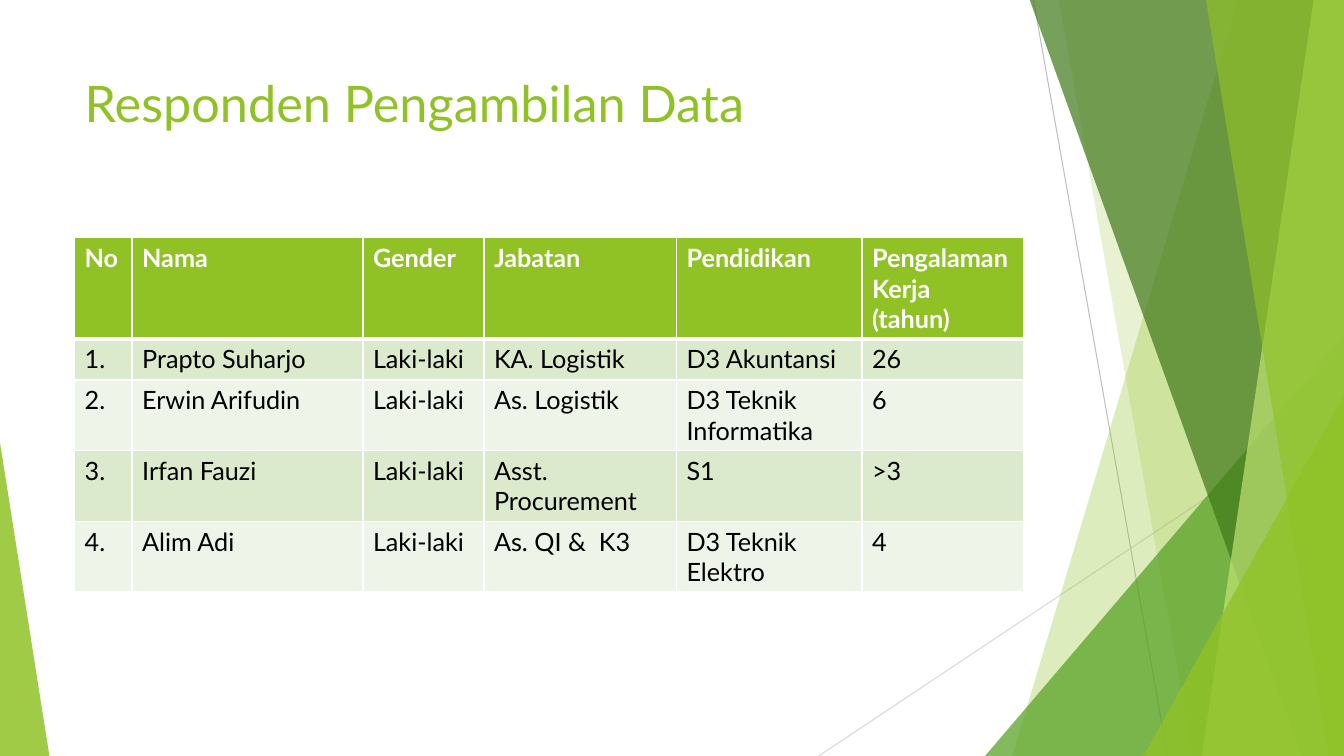
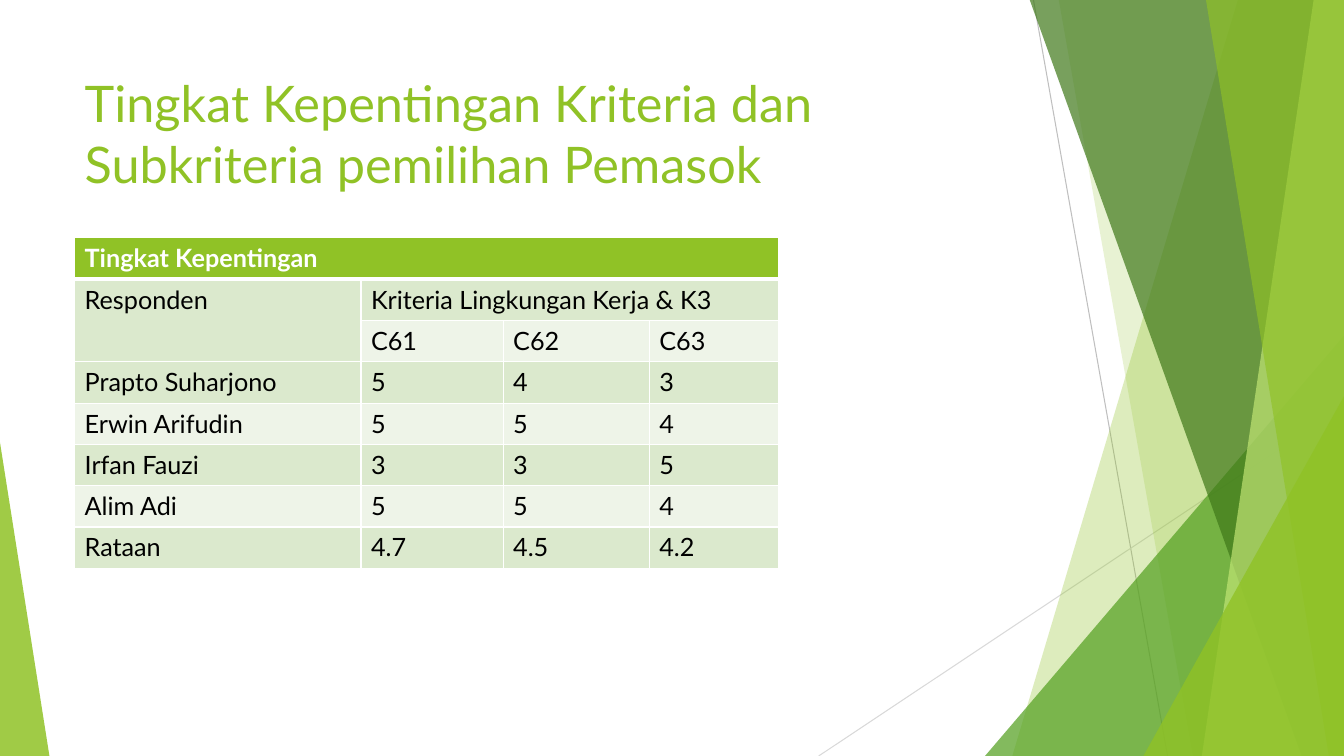
import pptx
import pptx.dml.color
import pptx.enum.shapes
import pptx.enum.text
import pptx.oxml.ns
import pptx.util
from lxml import etree

RGB = pptx.dml.color.RGBColor
SHAPE = pptx.enum.shapes.MSO_SHAPE
qn = pptx.oxml.ns.qn

LIME = RGB(0x90, 0xC2, 0x26)
LEAF = RGB(0x54, 0xA0, 0x21)
MOSS = RGB(0x3F, 0x78, 0x19)
PALE = RGB(0xC0, 0xE4, 0x74)
BAND = RGB(0xDB, 0xE9, 0xCD)
MIST = RGB(0xEE, 0xF4, 0xE8)
GREY = RGB(0xBF, 0xBF, 0xBF)
SILVER = RGB(0xD9, 0xD9, 0xD9)
WHITE = RGB(0xFF, 0xFF, 0xFF)
BLACK = RGB(0, 0, 0)

FONT = "Lato"
PX = 9144  # EMU; 100 px to the inch
WIDE, HIGH = 1333, 750
LEFT = 74
ROW = 41


def emu(*sizes):
    return [pptx.util.Emu(size * PX) for size in sizes]


def style(para, size, color, bold=False):
    font = para.font
    font.name, font.size, font.bold = FONT, pptx.util.Pt(size), bold
    font.color.rgb = color


def border(cell, **widths):
    """Draw white cell edges, with widths in points by side (L, R, T, B)."""
    props = cell._tc.get_or_add_tcPr()
    for side, width in widths.items():
        line = etree.SubElement(props, qn(f"a:ln{side}"), w=str(pptx.util.Pt(width)))
        fill = etree.SubElement(line, qn("a:solidFill"))
        etree.SubElement(fill, qn("a:srgbClr"), val=str(WHITE))


class Deck:
    def __init__(self):
        self.prs = pptx.Presentation()
        self.prs.slide_width, self.prs.slide_height = emu(WIDE, HIGH)
        self.slide = None

    def start(self, title):
        """Add a slide with the shared decoration and its title."""
        self.slide = self.prs.slides.add_slide(self.prs.slide_layouts[5])
        self.decor()
        self.title(title)

    def title(self, text):
        box = self.slide.shapes.title
        box.left, box.top, box.width, box.height = emu(LEFT, 67, 940, 144)
        frame = box.text_frame
        frame.text = text
        frame.word_wrap = True
        frame.auto_size = pptx.enum.text.MSO_AUTO_SIZE.NONE
        frame.vertical_anchor = pptx.enum.text.MSO_ANCHOR.TOP
        para = frame.paragraphs[0]
        para.alignment = pptx.enum.text.PP_ALIGN.LEFT
        style(para, 36, LIME)

    def decor(self):
        self.line(1025, 0, 1158, HIGH, GREY)
        self.line(WIDE, 403, 812, HIGH, SILVER)
        self.blade(1228, 1004, LIME, 30)
        self.blade(1050, 1183, LIME, 20)
        self.wedge(977, 333, 356, 1, LEAF, 72)
        self.blade(1021, 1291, MOSS, 70)
        self.blade(1303, 1192, PALE, 70)
        self.blade(1196, 1318, LIME, 65)
        self.wedge(1134, 393, 199, 1, LIME, 80)
        self.wedge(0, 439, 49, 0, LIME, 85)

    def line(self, x1, y1, x2, y2, color):
        kind = pptx.enum.shapes.MSO_CONNECTOR.STRAIGHT
        line = self.slide.shapes.add_connector(kind, *emu(x1, y1, x2, y2))
        line.line.color.rgb = color
        line.line.width = pptx.util.Pt(0.75)
        etree.SubElement(line.element.spPr, qn("a:effectLst"))

    def blade(self, top, foot, color, alpha):
        """Fill from a slanted edge to the right side of the slide."""
        build = self.slide.shapes.build_freeform(top, -1, scale=PX)
        build.add_line_segments([(WIDE, -1), (WIDE, HIGH), (foot, HIGH)])
        self.paint(build.convert_to_shape(), color, alpha)

    def wedge(self, left, top, width, peak, color, alpha):
        """Stand a triangle on the bottom edge, its tip at peak (0 to 1)."""
        kind = SHAPE.ISOSCELES_TRIANGLE
        shape = self.slide.shapes.add_shape(kind, *emu(left, top, width, HIGH - top))
        shape.adjustments[0] = peak
        self.paint(shape, color, alpha)

    def paint(self, shape, color, alpha):
        shape.shadow.inherit = False
        shape.line.fill.background()
        shape.fill.solid()
        shape.fill.fore_color.rgb = color
        tint = next(shape.element.iter(qn("a:srgbClr")))
        etree.SubElement(tint, qn("a:alpha"), val=str(alpha * 1000))

    def table(self, widths, rows, merges=()):
        """Add a banded table; merges lists (row, col, last row, last col)."""
        area = emu(LEFT, 236, sum(widths), ROW * len(rows))
        grid = self.slide.shapes.add_table(len(rows), len(widths), *area).table
        for col, width in zip(grid.columns, emu(*widths)):
            col.width = width
        for r, row in enumerate(rows):
            grid.rows[r].height = emu(ROW)[0]
            for c, text in enumerate(row):
                self.cell(grid.cell(r, c), r, text)
        for r1, c1, r2, c2 in merges:
            grid.cell(r1, c1).merge(grid.cell(r2, c2))

    def cell(self, cell, row, text):
        head = row == 0
        border(cell, L=1, R=1, T=3 if row == 1 else 1, B=3 if head else 1)
        cell.fill.solid()
        cell.fill.fore_color.rgb = LIME if head else BAND if row % 2 else MIST
        cell.text = text
        style(cell.text_frame.paragraphs[0], 18, WHITE if head else BLACK, head)


def main():
    deck = Deck()

    deck.start("Responden Pengambilan Data")
    deck.table([57, 229, 120, 191, 184, 160], [
        ["No", "Nama", "Gender", "Jabatan", "Pendidikan", "Pengalaman Kerja (tahun)"],
        ["1.", "Prapto Suharjo", "Laki-laki", "KA. Logistik", "D3 Akuntansi", "26"],
        ["2.", "Erwin Arifudin", "Laki-laki", "As. Logistik", "D3 Teknik Informatika", "6"],
        ["3.", "Irfan Fauzi", "Laki-laki", "Asst. Procurement", "S1", ">3"],
        ["4.", "Alim Adi", "Laki-laki", "As. QI &  K3", "D3 Teknik Elektro", "4"],
    ])

    deck.start("Tingkat Kepentingan Kriteria dan Subkriteria pemilihan Pemasok")
    deck.table([284, 141, 145, 128], [
        ["Tingkat Kepentingan", "", "", ""],
        ["Responden", "Kriteria Lingkungan Kerja & K3", "", ""],
        ["", "C61", "C62", "C63"],
        ["Prapto Suharjono", "5", "4", "3"],
        ["Erwin Arifudin", "5", "5", "4"],
        ["Irfan Fauzi", "3", "3", "5"],
        ["Alim Adi", "5", "5", "4"],
        ["Rataan", "4.7", "4.5", "4.2"],
    ], merges=[(0, 0, 0, 3), (1, 0, 2, 0), (1, 1, 1, 3)])

    deck.prs.save("out.pptx")


if __name__ == "__main__":
    main()
